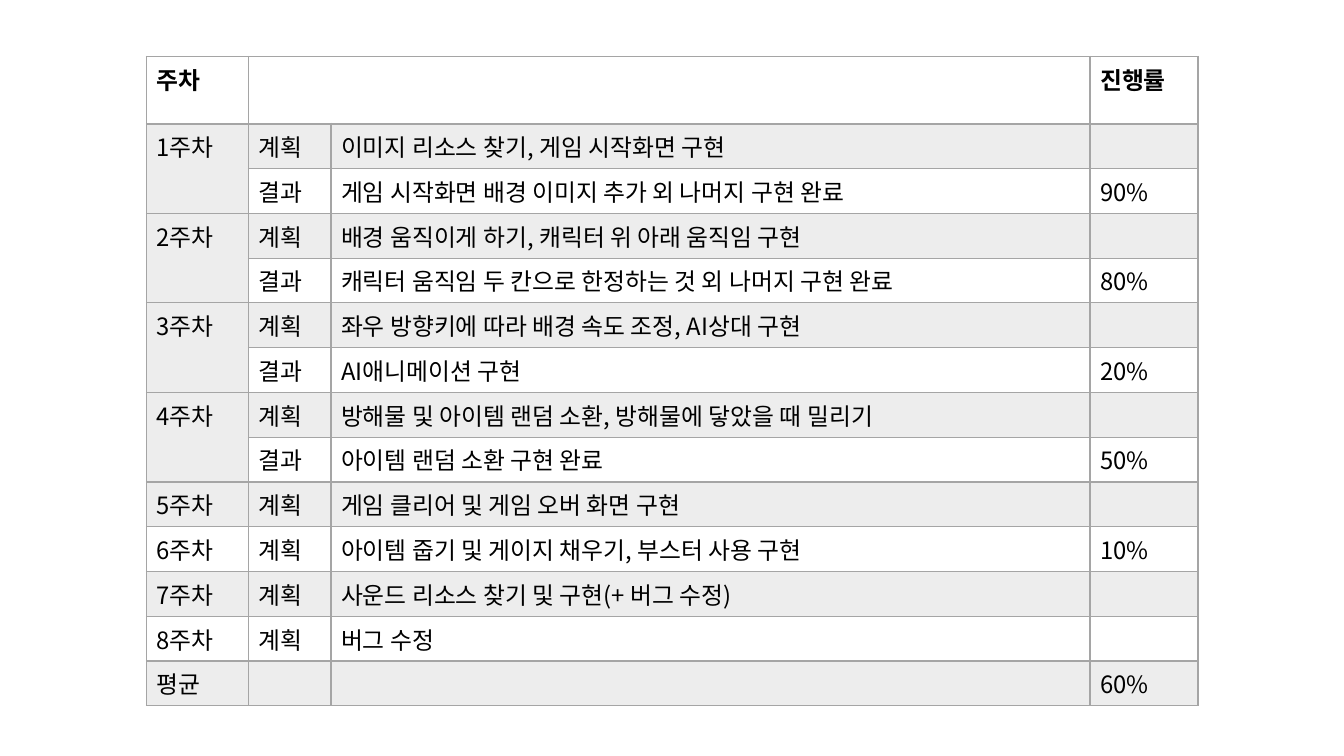
from lxml import etree
from pptx import Presentation
from pptx.dml.color import RGBColor
from pptx.oxml.ns import qn
from pptx.util import Cm, Pt

COLORS = {"text": "000000", "gray": "A5A5A5"}
FONT = "Noto Sans CJK KR"
SIZE = 17
BAND_OPACITY = 20
COLUMN_WIDTHS = [2.57, 2.08, 19.13, 2.72]
HEADER_HEIGHT, ROW_HEIGHT = 1.7, 1.12

ROWS = [
    ("주차", "", "", "진행률"),
    ("1주차", "계획", "이미지 리소스 찾기, 게임 시작화면 구현", ""),
    ("", "결과", "게임 시작화면 배경 이미지 추가 외 나머지 구현 완료", "90%"),
    ("2주차", "계획", "배경 움직이게 하기, 캐릭터 위 아래 움직임 구현", ""),
    ("", "결과", "캐릭터 움직임 두 칸으로 한정하는 것 외 나머지 구현 완료", "80%"),
    ("3주차", "계획", "좌우 방향키에 따라 배경 속도 조정, AI상대 구현", ""),
    ("", "결과", "AI애니메이션 구현", "20%"),
    ("4주차", "계획", "방해물 및 아이템 랜덤 소환, 방해물에 닿았을 때 밀리기", ""),
    ("", "결과", "아이템 랜덤 소환 구현 완료", "50%"),
    ("5주차", "계획", "게임 클리어 및 게임 오버 화면 구현", ""),
    ("6주차", "계획", "아이템 줍기 및 게이지 채우기, 부스터 사용 구현", "10%"),
    ("7주차", "계획", "사운드 리소스 찾기 및 구현(+ 버그 수정)", ""),
    ("8주차", "계획", "버그 수정", ""),
    ("평균", "", "", "60%"),
]


def write_text(tf, text, size=SIZE, bold=False, color="text"):
    """Write one run; an empty text only sets the height of its line."""
    p = tf.paragraphs[0]
    if not text:
        etree.SubElement(p._p, qn("a:endParaRPr"), sz=str(size * 100))
        return
    r = p.add_run()
    r.text = text
    r.font.size = Pt(size)
    r.font.bold = bold
    r.font.color.rgb = RGBColor.from_string(COLORS[color])
    r.font.name = FONT
    etree.SubElement(r.font._element, qn("a:ea"), typeface=FONT)


class SlideBuilder:
    def __init__(self, slide):
        self.slide = slide

    def border(self, cell, bottom=1):
        tc_pr = cell._tc.get_or_add_tcPr()
        for side, width in (("L", 1), ("R", 1), ("T", 1), ("B", bottom)):
            line = etree.SubElement(tc_pr, qn(f"a:ln{side}"), w=str(Pt(width)))
            fill = etree.SubElement(line, qn("a:solidFill"))
            etree.SubElement(fill, qn("a:srgbClr"), val=COLORS["gray"])

    def fill(self, cell, shaded):
        if not shaded:
            cell.fill.background()
            return
        cell.fill.solid()
        cell.fill.fore_color.rgb = RGBColor.from_string(COLORS["gray"])
        color = cell._tc.tcPr.find(f"{qn('a:solidFill')}/{qn('a:srgbClr')}")
        etree.SubElement(color, qn("a:alpha"), val=str(BAND_OPACITY * 1000))

    def table(self, left, top, rows, widths):
        height = HEADER_HEIGHT + ROW_HEIGHT * (len(rows) - 1)
        frame = self.slide.shapes.add_table(
            len(rows), len(widths), Cm(left), Cm(top), Cm(sum(widths)), Cm(height))
        table = frame.table
        table.first_row = table.horz_banding = False
        for column, width in zip(table.columns, widths):
            column.width = Cm(width)
        for i, texts in enumerate(rows):
            header = i == 0
            table.rows[i].height = Cm(HEADER_HEIGHT if header else ROW_HEIGHT)
            for j, text in enumerate(texts):
                cell = table.cell(i, j)
                write_text(cell.text_frame, text, bold=header)
                self.border(cell, bottom=2 if header else 1)
                self.fill(cell, shaded=i % 2 == 1)
            if not texts[0]:
                table.cell(i - 1, 0).merge(table.cell(i, 0))
        table.cell(0, 1).merge(table.cell(0, 2))


def main():
    prs = Presentation()
    prs.slide_width, prs.slide_height = Cm(33.87), Cm(19.05)
    builder = SlideBuilder(prs.slides.add_slide(prs.slide_layouts[6]))
    builder.table(3.69, 1.42, ROWS, COLUMN_WIDTHS)
    prs.save("out.pptx")


if __name__ == "__main__":
    main()
